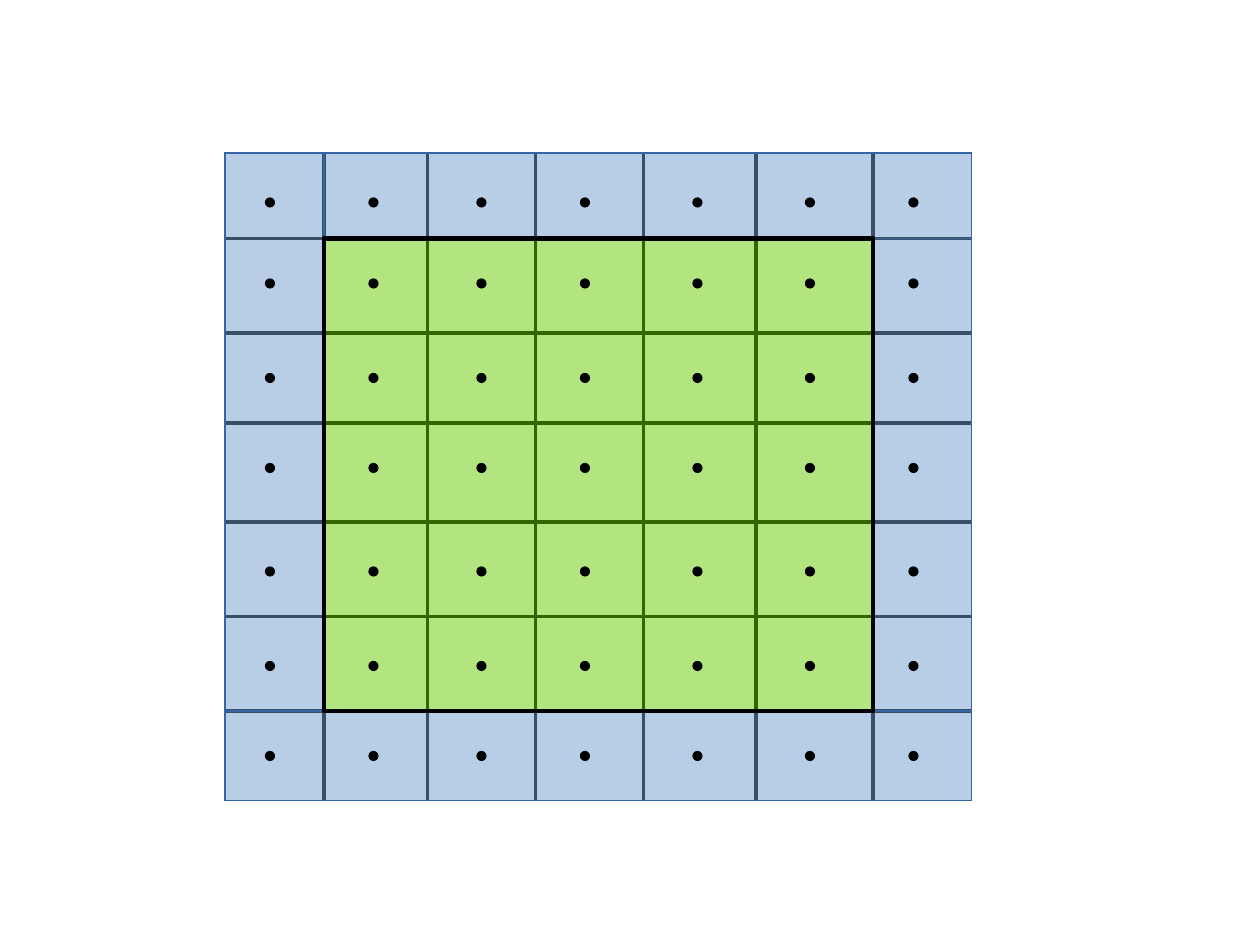
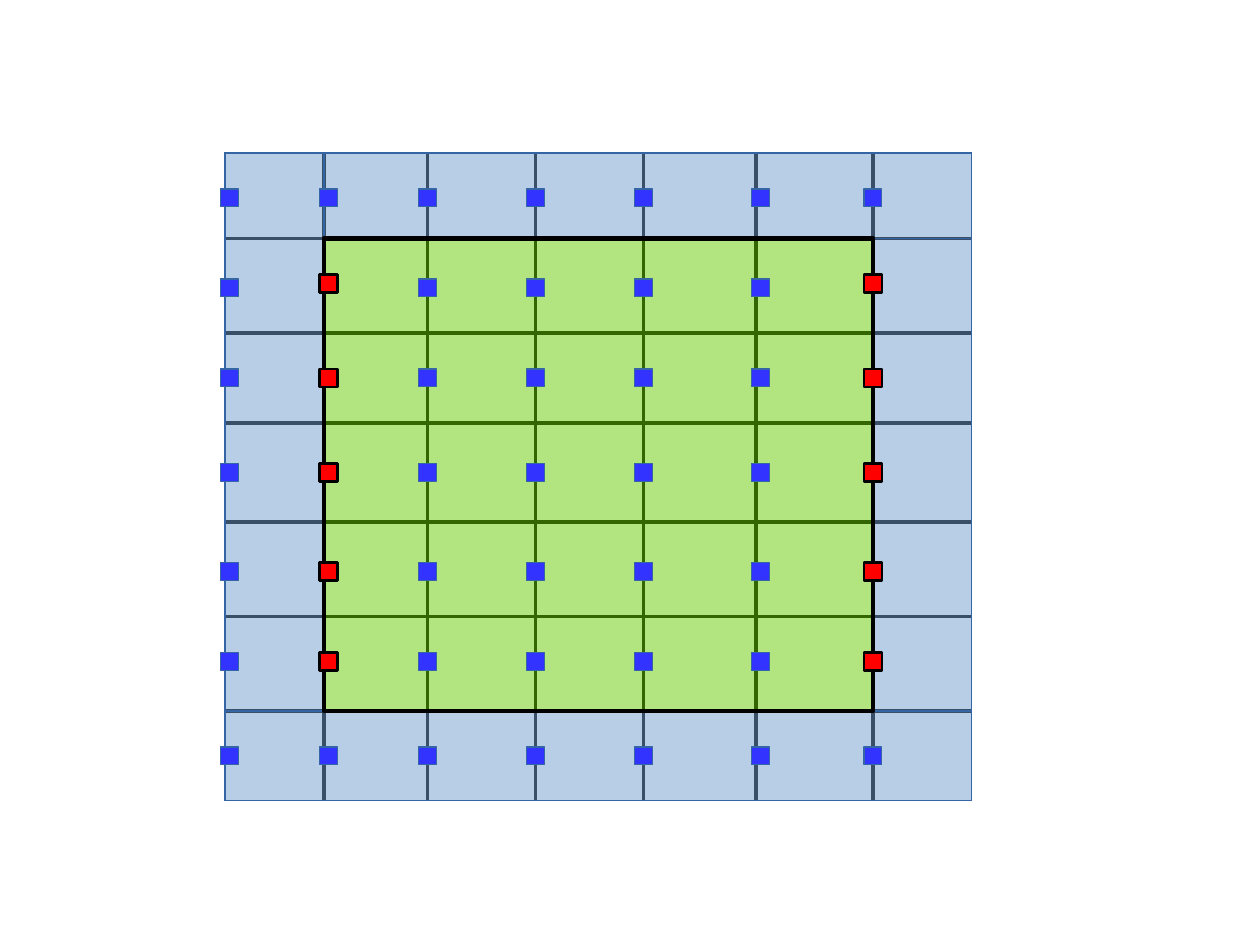
from itertools import product

from lxml.etree import SubElement
from pptx import Presentation
from pptx.dml.color import RGBColor
from pptx.enum.shapes import MSO_CONNECTOR, MSO_SHAPE
from pptx.oxml.ns import qn
from pptx.util import Pt

BLACK = RGBColor(0x00, 0x00, 0x00)
STEEL = RGBColor(0x72, 0x9F, 0xCF)
NAVY = RGBColor(0x34, 0x65, 0xA4)
GREEN = RGBColor(0x66, 0xCC, 0x00)
BLUE = RGBColor(0x33, 0x33, 0xFF)
RED = RGBColor(0xFF, 0x00, 0x00)

COLUMN_EDGES = [141.73, 204.09, 269.29, 337.32, 405.35, 476.22, 549.92, 612.28]
ROW_EDGES = [96.38, 150.24, 209.76, 266.46, 328.82, 388.35, 447.87, 504.57]
DOT_COLUMNS = [170.08, 235.28, 303.31, 368.5, 439.37, 510.24, 575.43]
DOT_ROWS = [127.56, 178.58, 238.11, 294.8, 360, 419.53, 476.22]
FACE_COLUMNS = [144.57, 206.93, 269.29, 337.32, 405.35, 479.06, 549.92]
FACE_ROWS = [124.72, 181.42, 238.11, 297.64, 360, 416.69, 476.22]
FIRST_WALL_ROW = 178.58
DOT_SIZE = 5.67
FACE_SIZE = 11.34


class GridDeck:
    def __init__(self, width, height):
        self.deck = Presentation()
        self.deck.slide_width = Pt(width)
        self.deck.slide_height = Pt(height)
        self.page = None

    def add_page(self):
        self.page = self.deck.slides.add_slide(self.deck.slide_layouts[6])
        self.mesh()

    def shape(self, kind, left, top, right, bottom, fill=None, line=BLACK, weight=0, opacity=100):
        shape = self.page.shapes.add_shape(
            kind, Pt(left), Pt(top), Pt(right - left), Pt(bottom - top))
        shape.shadow.inherit = False
        shape.line.color.rgb = line
        shape.line.width = Pt(weight)
        if fill is None:
            shape.fill.background()
            return
        shape.fill.solid()
        shape.fill.fore_color.rgb = fill
        if opacity < 100:
            color = shape.element.spPr.find(qn("a:solidFill"))[0]
            SubElement(color, qn("a:alpha"), val=str(opacity * 1000))

    def marker(self, kind, x, y, size, **style):
        half = size / 2
        self.shape(kind, x - half, y - half, x + half, y + half, **style)

    def line(self, x1, y1, x2, y2):
        line = self.page.shapes.add_connector(
            MSO_CONNECTOR.STRAIGHT, Pt(x1), Pt(y1), Pt(x2), Pt(y2))
        line.line.color.rgb = BLACK
        line.line.width = Pt(0)
        SubElement(line.element.spPr, qn("a:effectLst"))

    def mesh(self):
        left, inner_left, *_, inner_right, right = COLUMN_EDGES
        top, inner_top, *_, inner_bottom, bottom = ROW_EDGES
        self.shape(MSO_SHAPE.RECTANGLE, left, top, right, bottom)
        for x in COLUMN_EDGES[1:-1]:
            self.line(x, top, x, bottom)
        for y in ROW_EDGES[1:-1]:
            self.line(left, y, right, y)
        ghost_bands = [
            (inner_left, top, right, inner_top),
            (left, top, inner_left, inner_bottom),
            (inner_right, inner_top, right, inner_bottom),
            (left, inner_bottom, right, bottom),
        ]
        for band in ghost_bands:
            self.shape(MSO_SHAPE.RECTANGLE, *band, fill=STEEL, line=NAVY, opacity=50)
        self.shape(MSO_SHAPE.RECTANGLE, inner_left, inner_top, inner_right, inner_bottom,
                   fill=GREEN, weight=3, opacity=50)

    def cell_centres(self):
        for x, y in product(DOT_COLUMNS, DOT_ROWS):
            self.marker(MSO_SHAPE.OVAL, x, y, DOT_SIZE, fill=BLACK)

    def vertical_faces(self):
        walls = (FACE_COLUMNS[1], FACE_COLUMNS[-1])
        for x, (row, y) in product(FACE_COLUMNS, enumerate(FACE_ROWS)):
            if x in walls and 0 < row < len(FACE_ROWS) - 1:
                wall_y = FIRST_WALL_ROW if row == 1 else y
                self.marker(MSO_SHAPE.RECTANGLE, x, wall_y, FACE_SIZE, fill=RED, weight=1.5)
            else:
                self.marker(MSO_SHAPE.RECTANGLE, x, y, FACE_SIZE, fill=BLUE, line=NAVY)


def main():
    grid = GridDeck(793.7, 595.28)
    grid.add_page()
    grid.cell_centres()
    grid.add_page()
    grid.vertical_faces()
    grid.deck.save("out.pptx")


if __name__ == "__main__":
    main()
